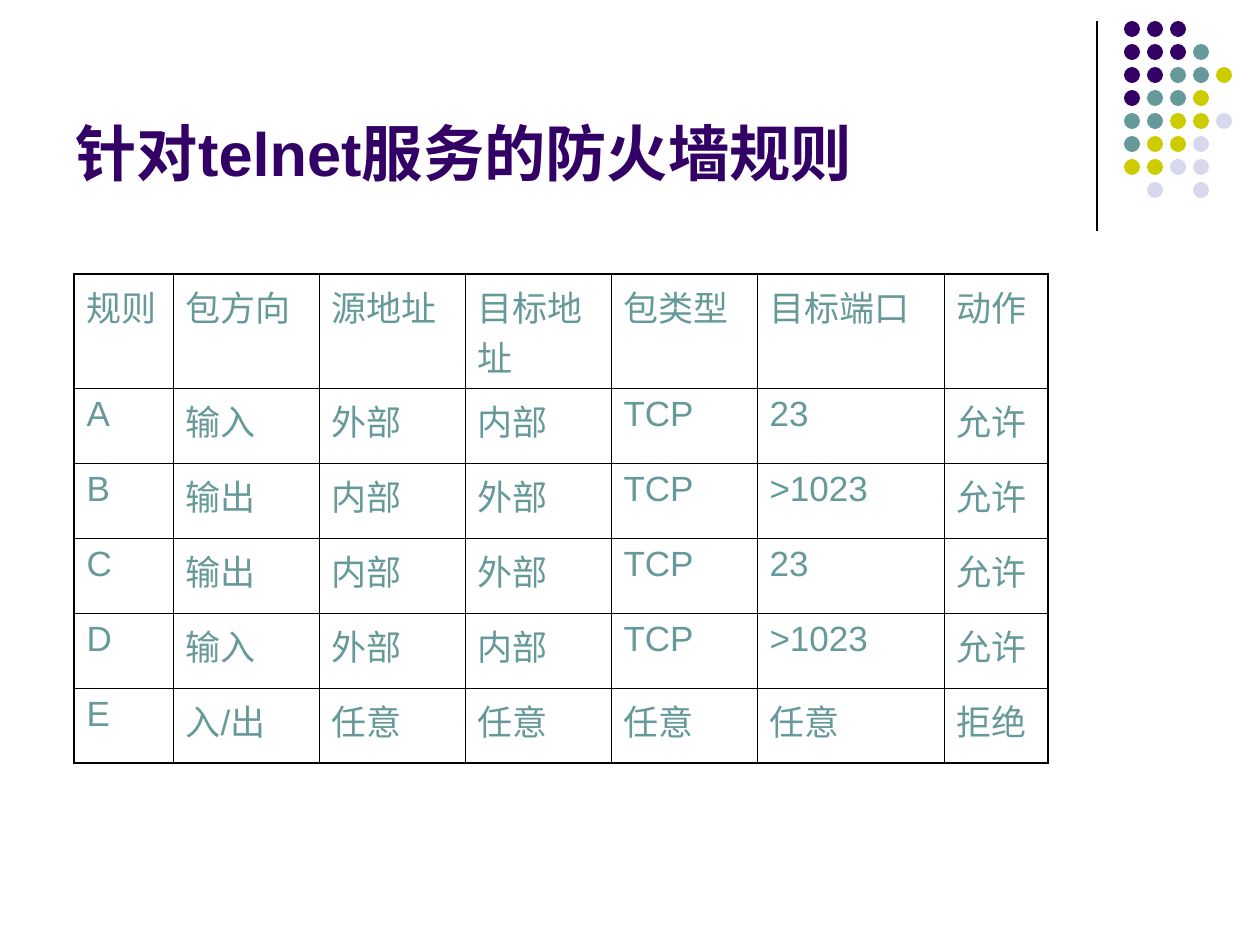
import pptx
import pptx.util
import pptx.dml.color
import pptx.enum.shapes
import pptx.enum.text
import pptx.oxml
import pptx.oxml.ns

PX = 914400 / 126


def px(n):
    """Turn slide pixels into EMU."""
    return pptx.util.Emu(round(n * PX))


def color(code):
    return pptx.dml.color.RGBColor.from_string(code)


prs = pptx.Presentation()
prs.slide_width, prs.slide_height = px(1260), px(945)
slide = prs.slides.add_slide(prs.slide_layouts[5])
shapes = slide.shapes

# Title
title = shapes.title
place = dict(left=63, top=16, width=1040, height=179)
for name, val in place.items():
    setattr(title, name, px(val))
frame = title.text_frame
frame.text = "针对telnet服务的防火墙规则"
frame.word_wrap = True
frame.auto_size = pptx.enum.text.MSO_AUTO_SIZE.NONE
frame.vertical_anchor = pptx.enum.text.MSO_ANCHOR.BOTTOM
para = frame.paragraphs[0]
para.alignment = pptx.enum.text.PP_ALIGN.LEFT
font = para.runs[0].font
for name, val in dict(name="Arial", size=pptx.util.Pt(35), bold=True).items():
    setattr(font, name, val)
font.color.rgb = color("330066")

# Rule beside the dots
rule = shapes.add_connector(
    pptx.enum.shapes.MSO_CONNECTOR.STRAIGHT, px(1097), px(21), px(1097), px(231))
rule.line.color.rgb = color("000000")
rule.line.width = pptx.util.Pt(0.75)
pptx.oxml.ns.qn("a:effectLst")
rule._element.spPr.append(pptx.oxml.parse_xml(
    f'<a:effectLst {pptx.oxml.ns.nsdecls("a")}/>'))

# Dots: one letter per colour, a point for a gap
tints = dict(P="330066", T="669999", Y="CCCC00", L="D8D8EC")
dots = ["PPP", "PPPT", "PPTTY", "PTTY", "TTYYL", "TYYL", "YYLL", ".L.L"]
for r, line in enumerate(dots):
    for c, key in enumerate(line):
        if key == ".":
            continue
        dot = shapes.add_shape(
            pptx.enum.shapes.MSO_SHAPE.OVAL,
            px(1124 + 23 * c), px(21 + 23 * r), px(16), px(16))
        dot.shadow.inherit = False
        dot.fill.solid()
        dot.fill.fore_color.rgb = color(tints[key])
        dot.line.fill.background()

# Firewall rules
rows = [
    ["规则", "包方向", "源地址", "目标地址", "包类型", "目标端口", "动作"],
    ["A", "输入", "外部", "内部", "TCP", "23", "允许"],
    ["B", "输出", "内部", "外部", "TCP", ">1023", "允许"],
    ["C", "输出", "内部", "外部", "TCP", "23", "允许"],
    ["D", "输入", "外部", "内部", "TCP", ">1023", "允许"],
    ["E", "入/出", "任意", "任意", "任意", "任意", "拒绝"],
]
wide = [99, 146, 146, 146, 146, 187, 104]
high = [97] + [75] * 5
table = shapes.add_table(
    len(rows), len(wide), px(74), px(274), px(sum(wide)), px(sum(high))).table
table.first_row = table.horz_banding = False
for col, width in zip(table.columns, wide):
    col.width = px(width)
for row, height in zip(table.rows, high):
    row.height = px(height)

for r, line in enumerate(rows):
    for c, text in enumerate(line):
        cell = table.cell(r, c)
        cell.text = text
        cell.fill.background()
        font = cell.text_frame.paragraphs[0].runs[0].font
        for name, val in dict(name="Arial", size=pptx.util.Pt(20)).items():
            setattr(font, name, val)
        font.color.rgb = color("669999")
        # Outer edges are heavier than inner ones
        outer = dict(L=c == 0, R=c == len(wide) - 1, T=r == 0, B=r == len(rows) - 1)
        props = cell._tc.get_or_add_tcPr()
        for i, (side, edge) in enumerate(outer.items()):
            width = pptx.util.Pt(1.08 if edge else 0.45)
            props.insert(i, pptx.oxml.parse_xml(
                f'<a:ln{side} {pptx.oxml.ns.nsdecls("a")} w="{width}"><a:solidFill>'
                f'<a:srgbClr val="000000"/></a:solidFill></a:ln{side}>'))

prs.save("out.pptx")
